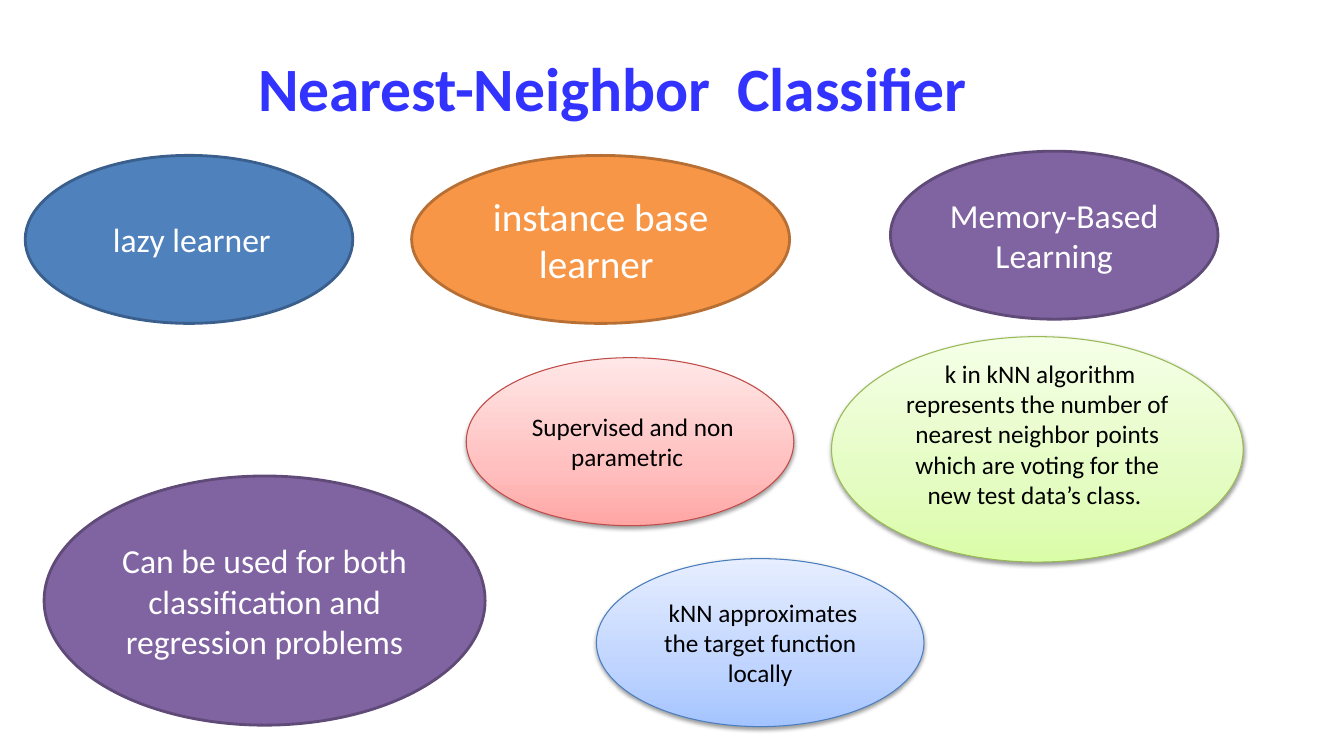
import pptx
import pptx.dml.color
import pptx.enum.shapes
import pptx.enum.text
import pptx.oxml
import pptx.oxml.ns
import pptx.util

Pt = pptx.util.Pt
RGBColor = pptx.dml.color.RGBColor

# Palette
TITLE_BLUE = RGBColor(0x33, 0x33, 0xFF)
WHITE = RGBColor(0xFF, 0xFF, 0xFF)
BLACK = RGBColor(0x00, 0x00, 0x00)
BLUE, BLUE_EDGE = RGBColor(0x4F, 0x81, 0xBD), RGBColor(0x3A, 0x5F, 0x8C)
ORANGE, ORANGE_EDGE = RGBColor(0xF7, 0x96, 0x46), RGBColor(0xB7, 0x6F, 0x34)
PURPLE, PURPLE_EDGE = RGBColor(0x80, 0x64, 0xA2), RGBColor(0x5F, 0x4A, 0x78)
RED_EDGE = RGBColor(0xBF, 0x4C, 0x48)
SKY_EDGE = RGBColor(0x4B, 0x7E, 0xBC)
GREEN_EDGE = RGBColor(0x98, 0xB9, 0x55)

# Soft gradients, from the bottom edge to the top
RED_TINTS = (RGBColor(0xFF, 0xA6, 0xA5), RGBColor(0xFF, 0xC0, 0xBF), RGBColor(0xFF, 0xE7, 0xE7))
SKY_TINTS = (RGBColor(0xA4, 0xC4, 0xFF), RGBColor(0xBF, 0xD4, 0xFF), RGBColor(0xE6, 0xEE, 0xFF))
GREEN_TINTS = (RGBColor(0xDA, 0xFD, 0xA7), RGBColor(0xE4, 0xFC, 0xC2), RGBColor(0xF5, 0xFF, 0xE7))
TINT_STOPS = (0, 35, 100)
DRAWING_NS = pptx.oxml.ns.nsdecls("a")


class ClassifierSlide:
    """Holds the text style and the current slide."""

    font_name = "Calibri"

    def __init__(self, slide):
        self.slide = slide

    def add_text(self, paragraph, text, size, color, bold=False):
        run = paragraph.add_run()
        run.text = text
        run.font.name = self.font_name
        run.font.size = Pt(size)
        run.font.bold = bold
        run.font.color.rgb = color
        return run

    def title(self, text, left, top, width, height):
        heading = self.slide.shapes.title
        heading.left, heading.top = Pt(left), Pt(top)
        heading.width, heading.height = Pt(width), Pt(height)
        frame = heading.text_frame
        frame.margin_left = frame.margin_right = frame.margin_top = frame.margin_bottom = 0
        frame.vertical_anchor = pptx.enum.text.MSO_ANCHOR.TOP
        frame.paragraphs[0].alignment = pptx.enum.text.PP_ALIGN.LEFT
        run = self.add_text(frame.paragraphs[0], text, 44, TITLE_BLUE, bold=True)
        run._r.get_or_add_rPr().set("spc", "-10")

    def ellipse(self, box, edge, edge_width, runs, color):
        left, top, width, height = box
        oval = self.slide.shapes.add_shape(
            pptx.enum.shapes.MSO_SHAPE.OVAL, Pt(left), Pt(top), Pt(width), Pt(height))
        oval.shadow.inherit = False
        oval.line.color.rgb = edge
        oval.line.width = Pt(edge_width)
        frame = oval.text_frame
        frame.word_wrap = True
        frame.vertical_anchor = pptx.enum.text.MSO_ANCHOR.MIDDLE
        frame.paragraphs[0].alignment = pptx.enum.text.PP_ALIGN.CENTER
        for text, size in runs:
            self.add_text(frame.paragraphs[0], text, size, color)
        return oval

    def solid_ellipse(self, box, fill, edge, *runs):
        oval = self.ellipse(box, edge, 2, runs, WHITE)
        oval.fill.solid()
        oval.fill.fore_color.rgb = fill

    def tinted_ellipse(self, box, tints, edge, text, bottom_inset=3.6):
        oval = self.ellipse(box, edge, 0.75, [(text, 18)], BLACK)
        oval.text_frame.margin_bottom = Pt(bottom_inset)
        # Three-stop gradient
        stops = "".join(
            f'<a:gs pos="{stop * 1000}"><a:srgbClr val="{tint}"/></a:gs>'
            for stop, tint in zip(TINT_STOPS, tints))
        gradient = pptx.oxml.parse_xml(
            f'<a:gradFill {DRAWING_NS} rotWithShape="1"><a:gsLst>{stops}</a:gsLst>'
            '<a:lin ang="16200000" scaled="0"/></a:gradFill>')
        oval.fill.background()
        properties = oval._element.spPr
        properties.replace(properties.find(pptx.oxml.ns.qn("a:noFill")), gradient)
        # Drop shadow
        effects = properties.find(pptx.oxml.ns.qn("a:effectLst"))
        effects.append(pptx.oxml.parse_xml(
            f'<a:outerShdw {DRAWING_NS} blurRad="{Pt(3.1)}" dist="{Pt(1.6)}" dir="5400000"'
            ' rotWithShape="0"><a:srgbClr val="000000"><a:alpha val="38000"/></a:srgbClr>'
            '</a:outerShdw>'))


def main():
    deck = pptx.Presentation()
    deck.slide_width, deck.slide_height = Pt(960), Pt(540)
    title_only = deck.slide_layouts[5]
    page = ClassifierSlide(deck.slides.add_slide(title_only))
    page.title("Nearest-Neighbor  Classifier", 184.5, 36, 592, 54.5)

    # Names of the method
    page.solid_ellipse((18, 111, 234, 120), BLUE, BLUE_EDGE, (" ", 18), ("lazy learner", 24))
    page.solid_ellipse((294, 111, 270, 120), ORANGE, ORANGE_EDGE, ("instance base learner ", 28))
    page.solid_ellipse((636, 108, 234, 120), PURPLE, PURPLE_EDGE, ("Memory-Based Learning", 24))

    # Uses
    page.solid_ellipse((31.5, 340, 315, 178), PURPLE, PURPLE_EDGE,
                       ("Can be used for both classification and regression problems", 24))

    # Properties
    page.tinted_ellipse((333, 255.5, 234, 120), RED_TINTS, RED_EDGE,
                        " Supervised and non parametric ")
    page.tinted_ellipse((426, 399, 234, 120), SKY_TINTS, SKY_EDGE,
                        " kNN approximates the target function locally")
    page.tinted_ellipse((594, 240.5, 294, 161), GREEN_TINTS, GREEN_EDGE,
                        " k in kNN algorithm represents the number of nearest neighbor points "
                        "which are voting for the new test data’s class. ", bottom_inset=25.6)

    deck.save("out.pptx")


if __name__ == "__main__":
    main()
